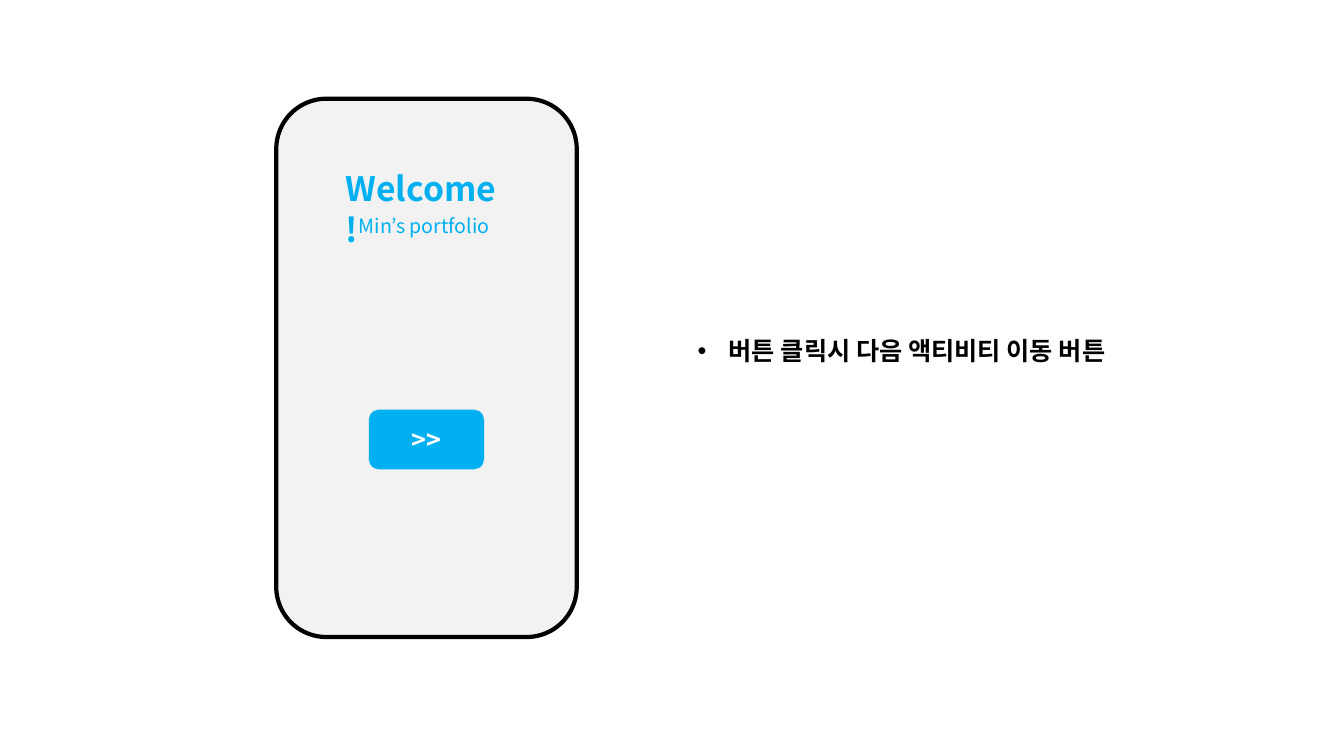
"""Build the welcome-screen slide: a phone mock-up and a note on its button."""
from lxml import etree
from pptx import Presentation
from pptx.dml.color import RGBColor
from pptx.enum.shapes import MSO_SHAPE
from pptx.enum.text import MSO_ANCHOR, PP_ALIGN
from pptx.oxml.ns import qn
from pptx.util import Inches, Pt

FONT = "Noto Sans CJK KR"
BLACK = RGBColor(0x00, 0x00, 0x00)
WHITE = RGBColor(0xFF, 0xFF, 0xFF)
SCREEN_GREY = RGBColor(0xF2, 0xF2, 0xF2)
SKY_BLUE = RGBColor(0x00, 0xB0, 0xF0)

PHONE = (2.74, 0.98, 2.98, 5.34)
BUTTON_LABEL = ">>"
BUTTON_SIZE = (1.13, 0.58)
BUTTON_TOP = 4.07
TITLE = ("Welcome!", (3.33, 1.62, 1.79, 0.5), 24, SKY_BLUE, True)
SUBTITLE = ("Min’s portfolio", (3.46, 2.07, 1.52, 0.34), 14, SKY_BLUE, False)
NOTE = ("버튼 클릭시 다음 액티비티 이동 버튼", (6.82, 3.28, 4.75, 0.4), 18, BLACK, True)
BULLET_INDENT = Inches(0.31)


def write(frame, text, size, color, bold):
    frame.word_wrap = True
    paragraph = frame.paragraphs[0]
    run = paragraph.add_run()
    run.text = text
    font = run.font
    font.name, font.size, font.bold = FONT, Pt(size), bold
    font.color.rgb = color
    etree.SubElement(font._element, qn("a:ea"), typeface=FONT)
    return paragraph


def add_rounded(slide, box, fill, line, width):
    shape = slide.shapes.add_shape(MSO_SHAPE.ROUNDED_RECTANGLE, *map(Inches, box))
    shape.shadow.inherit = False
    shape.fill.solid()
    shape.fill.fore_color.rgb = fill
    shape.line.color.rgb = line
    shape.line.width = Pt(width)
    return shape


def add_label(slide, text, box, size, color, bold):
    frame = slide.shapes.add_textbox(*map(Inches, box)).text_frame
    return write(frame, text, size, color, bold)


def add_bullet(paragraph):
    properties = paragraph._p.get_or_add_pPr()
    properties.set("marL", str(BULLET_INDENT))
    properties.set("indent", str(-BULLET_INDENT))
    etree.SubElement(properties, qn("a:buFont"), typeface="Arial")
    etree.SubElement(properties, qn("a:buChar"), char="•")


prs = Presentation()
prs.slide_width, prs.slide_height = Inches(13.33), Inches(7.5)
slide = prs.slides.add_slide(prs.slide_layouts[6])

add_rounded(slide, PHONE, SCREEN_GREY, BLACK, 3)
for label in (TITLE, SUBTITLE):
    add_label(slide, *label)

button_left = PHONE[0] + (PHONE[2] - BUTTON_SIZE[0]) / 2
button = add_rounded(slide, (button_left, BUTTON_TOP, *BUTTON_SIZE), SKY_BLUE, SKY_BLUE, 1)
button.text_frame.vertical_anchor = MSO_ANCHOR.MIDDLE
write(button.text_frame, BUTTON_LABEL, 18, WHITE, True).alignment = PP_ALIGN.CENTER

add_bullet(add_label(slide, *NOTE))

prs.save("out.pptx")
